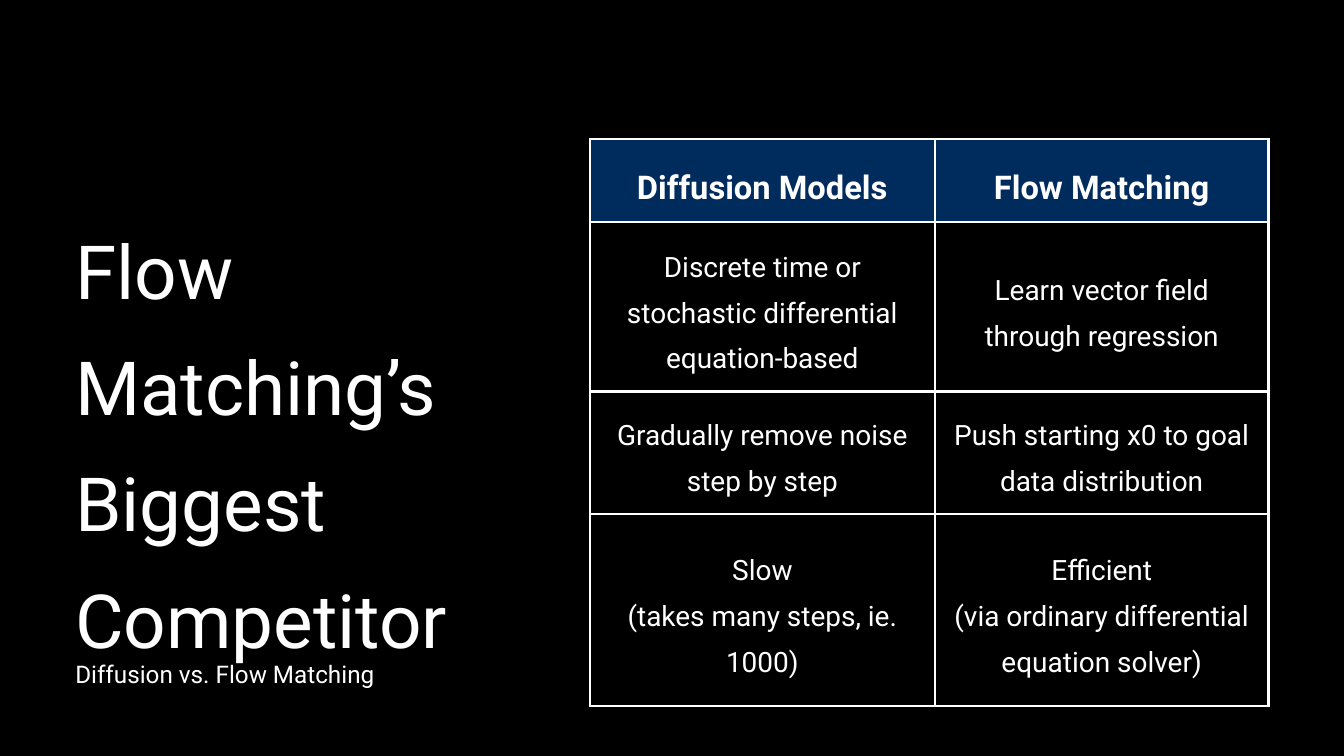
import pptx
import pptx.dml.color
import pptx.enum.text
import pptx.oxml
import pptx.oxml.ns
import pptx.util

COLORS = {"ground": "000000", "ink": "FFFFFF", "header": "002B5D"}
FONT = "Roboto"
ALIGN = pptx.enum.text.PP_ALIGN
ANCHOR = pptx.enum.text.MSO_ANCHOR

COMPARISON = [
    ("Diffusion Models", "Flow Matching"),
    ("Discrete time or stochastic differential equation-based",
     "Learn vector field through regression"),
    ("Gradually remove noise step by step",
     "Push starting x0 to goal data distribution"),
    ("Slow\n(takes many steps, ie. 1000)",
     "Efficient\n(via ordinary differential equation solver)"),
]


def rgb(name):
    return pptx.dml.color.RGBColor.from_string(COLORS[name])


def write(frame, text, size=30, bold=False, color="ink", align=ALIGN.LEFT, spacing=1.4):
    frame.text = text
    for paragraph in frame.paragraphs:
        paragraph.alignment = align
        paragraph.line_spacing = spacing
        paragraph.space_before = pptx.util.Pt(0)
        for run in paragraph.runs:
            run.font.name = FONT
            run.font.size = pptx.util.Pt(size)
            run.font.bold = bold
            run.font.color.rgb = rgb(color)


class Deck:
    def __init__(self, width, height):
        self.presentation = pptx.Presentation()
        self.presentation.slide_width = pptx.util.Inches(width)
        self.presentation.slide_height = pptx.util.Inches(height)
        self.slide = None

    def add_slide(self):
        self.slide = self.presentation.slides.add_slide(self.presentation.slide_layouts[0])
        self.slide.background.fill.solid()
        self.slide.background.fill.fore_color.rgb = rgb("ground")

    def x(self, percent):
        return round(self.presentation.slide_width * percent / 100)

    def y(self, percent):
        return round(self.presentation.slide_height * percent / 100)

    def placeholder(self, index, text, left, top, width, height, **style):
        holder = self.slide.placeholders[index]
        holder.left, holder.top = self.x(left), self.y(top)
        holder.width, holder.height = self.x(width), self.y(height)
        frame = holder.text_frame
        frame.word_wrap = True
        frame.auto_size = pptx.enum.text.MSO_AUTO_SIZE.SHAPE_TO_FIT_TEXT
        frame.vertical_anchor = ANCHOR.TOP
        frame.margin_left = frame.margin_right = 0
        frame.margin_top = frame.margin_bottom = 0
        write(frame, text, **style)

    def border(self, cell, points):
        properties = cell._tc.get_or_add_tcPr()
        for side in ("lnL", "lnR", "lnT", "lnB"):
            properties.append(pptx.oxml.parse_xml(
                f'<a:{side} {pptx.oxml.ns.nsdecls("a")} w="{pptx.util.Pt(points)}">'
                f'<a:solidFill><a:srgbClr val="{COLORS["ink"]}"/></a:solidFill></a:{side}>'))

    def table(self, content, left, top, widths, heights, padding=0.21):
        grid = self.slide.shapes.add_table(
            len(heights), len(widths), self.x(left), self.y(top),
            self.x(sum(widths)), self.y(sum(heights))).table
        grid.horz_banding = False
        for column, width in zip(grid.columns, widths):
            column.width = self.x(width)
        for row, height in zip(grid.rows, heights):
            row.height = self.y(height)
        for i, texts in enumerate(content):
            for j, text in enumerate(texts):
                cell = grid.cell(i, j)
                heading = i == 0
                self.border(cell, 3)
                if heading:
                    cell.fill.solid()
                    cell.fill.fore_color.rgb = rgb("header")
                else:
                    cell.fill.background()
                cell.vertical_anchor = ANCHOR.MIDDLE
                cell.margin_left = cell.margin_right = pptx.util.Inches(padding)
                cell.margin_top = cell.margin_bottom = pptx.util.Inches(padding)
                write(cell.text_frame, text, size=35 if heading else 30,
                      bold=heading, align=ALIGN.CENTER)


def main():
    deck = Deck(20, 11.25)
    deck.add_slide()
    deck.table(COMPARISON, 43.9, 18.4, widths=(25.65, 24.85),
               heights=(10.67, 20, 15.02, 25.42))
    deck.placeholder(0, "Flow Matching’s Biggest Competitor",
                     5.6, 26.13, 31.35, 50.93, size=80, spacing=1.3)
    deck.placeholder(1, "Diffusion vs. Flow Matching",
                     5.6, 85.6, 31.35, 4.36, size=26)
    deck.presentation.save("out.pptx")


if __name__ == "__main__":
    main()
